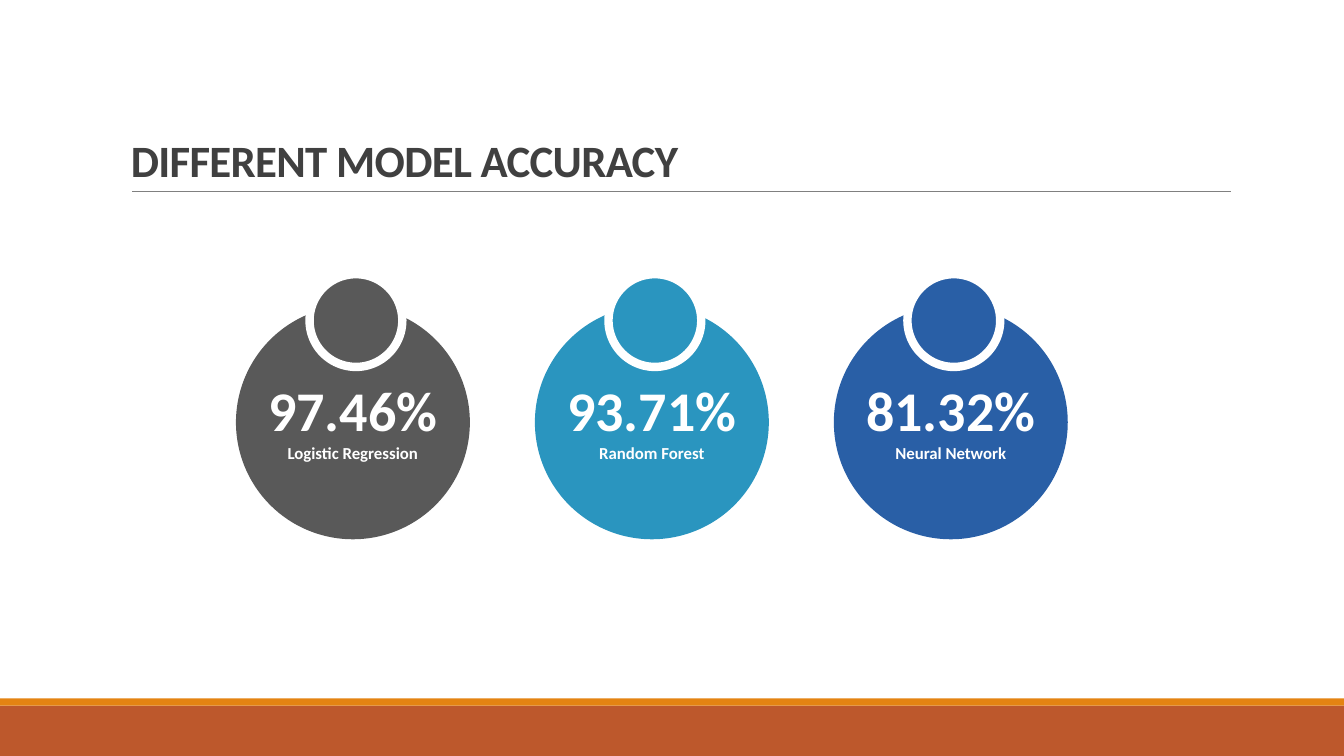
from pptx import Presentation
from pptx.dml.color import RGBColor
from pptx.enum.shapes import MSO_CONNECTOR, MSO_SHAPE
from pptx.enum.text import MSO_ANCHOR, PP_ALIGN
from pptx.oxml.ns import qn
from pptx.util import Inches, Pt
from lxml import etree

RECTANGLE, CIRCLE = MSO_SHAPE.RECTANGLE, MSO_SHAPE.OVAL
STRAIGHT = MSO_CONNECTOR.STRAIGHT
TOP, BOTTOM = MSO_ANCHOR.TOP, MSO_ANCHOR.BOTTOM
LEFT, CENTER = PP_ALIGN.LEFT, PP_ALIGN.CENTER


def color(hex_code):
    return RGBColor.from_string(hex_code)


class SlideBuilder:
    font = "Calibri"
    white = "FFFFFF"
    title_gray = "404040"
    rule_gray = "808080"
    rust = "BD582C"
    orange = "E48312"

    def __init__(self, slide):
        self.slide = slide

    def shape(self, kind, left, top, width, height, fill, outline=None, weight=0):
        shape = self.slide.shapes.add_shape(
            kind, Inches(left), Inches(top), Inches(width), Inches(height))
        shape.shadow.inherit = False
        shape.fill.solid()
        shape.fill.fore_color.rgb = color(fill)
        if outline:
            shape.line.color.rgb = color(outline)
            shape.line.width = Pt(weight)
        else:
            shape.line.fill.background()

    def line(self, x1, y1, x2, y2, stroke, weight):
        line = self.slide.shapes.add_connector(
            STRAIGHT, Inches(x1), Inches(y1), Inches(x2), Inches(y2))
        line.line.color.rgb = color(stroke)
        line.line.width = Pt(weight)
        etree.SubElement(line._element.spPr, qn("a:effectLst"))

    def text(self, words, left, top, width, height, size, ink,
             align=CENTER, anchor=TOP, line_spacing=1.0, tracking=0):
        box = self.slide.shapes.add_textbox(
            Inches(left), Inches(top), Inches(width), Inches(height))
        frame = box.text_frame
        frame.word_wrap = True
        frame.vertical_anchor = anchor
        paragraph = frame.paragraphs[0]
        paragraph.alignment = align
        paragraph.line_spacing = line_spacing
        run = paragraph.add_run()
        run.text = words
        run.font.name = self.font
        run.font.size = Pt(size)
        run.font.bold = True
        run.font.color.rgb = color(ink)
        if tracking:
            run._r.get_or_add_rPr().set("spc", str(round(tracking * 100)))

    def accuracy_badge(self, left, accuracy, model, fill):
        self.shape(CIRCLE, left, 3.03, 2.32, 2.32, fill)
        self.shape(CIRCLE, left + 0.73, 2.72, 0.92, 0.92, fill, self.white, 6)
        self.text(accuracy, left + 0.12, 3.68, 2.08, 0.77, 40, self.white)
        self.text(model, left + 0.12, 4.34, 2.08, 0.3, 12, self.white)


def main():
    deck = Presentation()
    deck.slide_width, deck.slide_height = Inches(13.33), Inches(7.5)
    builder = SlideBuilder(deck.slides.add_slide(deck.slide_layouts[6]))

    # Footer bands
    builder.shape(RECTANGLE, 0, 7, 13.33, 0.5, builder.rust)
    builder.shape(RECTANGLE, 0, 6.93, 13.33, 0.07, builder.orange)

    # Title and rule
    builder.line(1.31, 1.9, 12.21, 1.9, builder.rule_gray, 0.5)
    builder.text("DIFFERENT MODEL ACCURACY", 1.2, 0.31, 11, 1.59, 32,
                 builder.title_gray, LEFT, BOTTOM, 0.85, -0.5)

    # One badge per model, evenly spaced
    models = [
        ("97.46%", "Logistic Regression", "595959"),
        ("93.71%", "Random Forest", "2A95BF"),
        ("81.32%", "Neural Network", "295FA6"),
    ]
    first_left, pitch = 2.34, 2.965
    for index, (accuracy, model, fill) in enumerate(models):
        builder.accuracy_badge(first_left + index * pitch, accuracy, model, fill)

    # Tiny dot under the middle label
    builder.line(6.37, 4.75, 6.37, 4.75, "000000", 0.63)

    deck.save("out.pptx")


if __name__ == "__main__":
    main()
